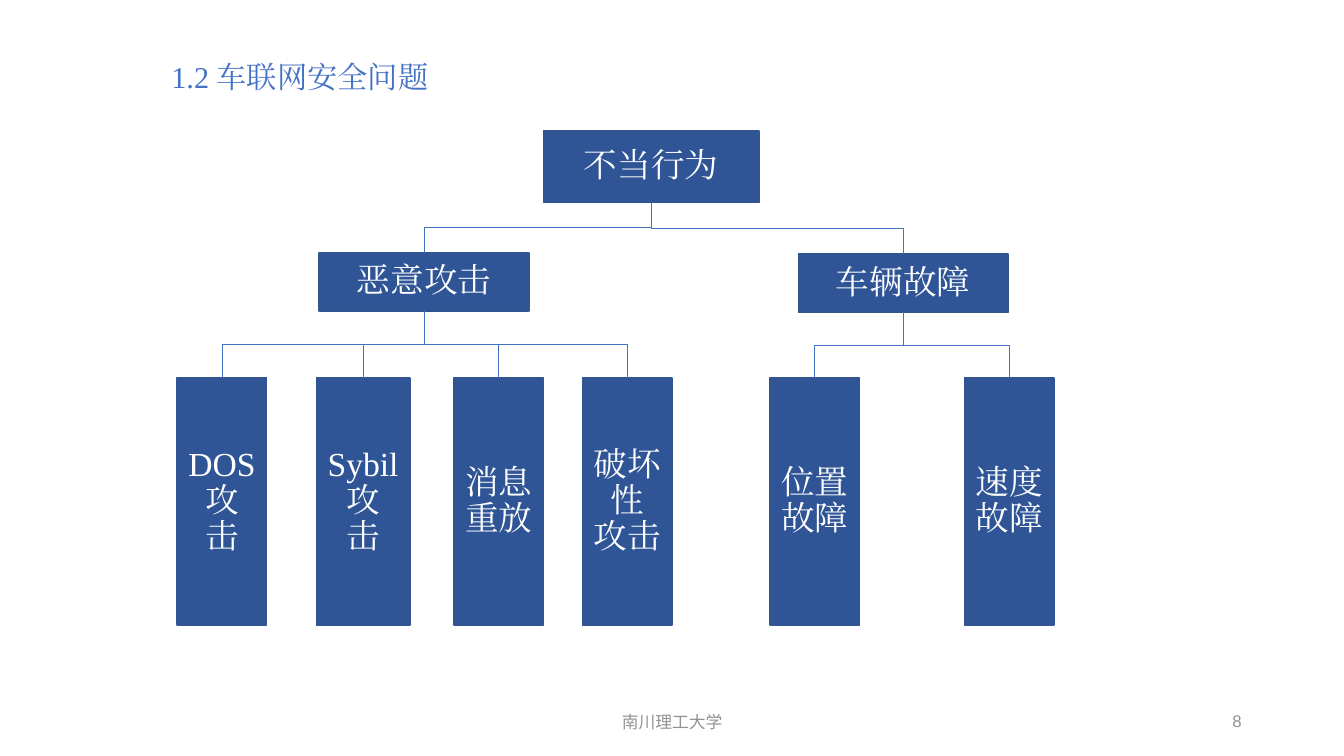
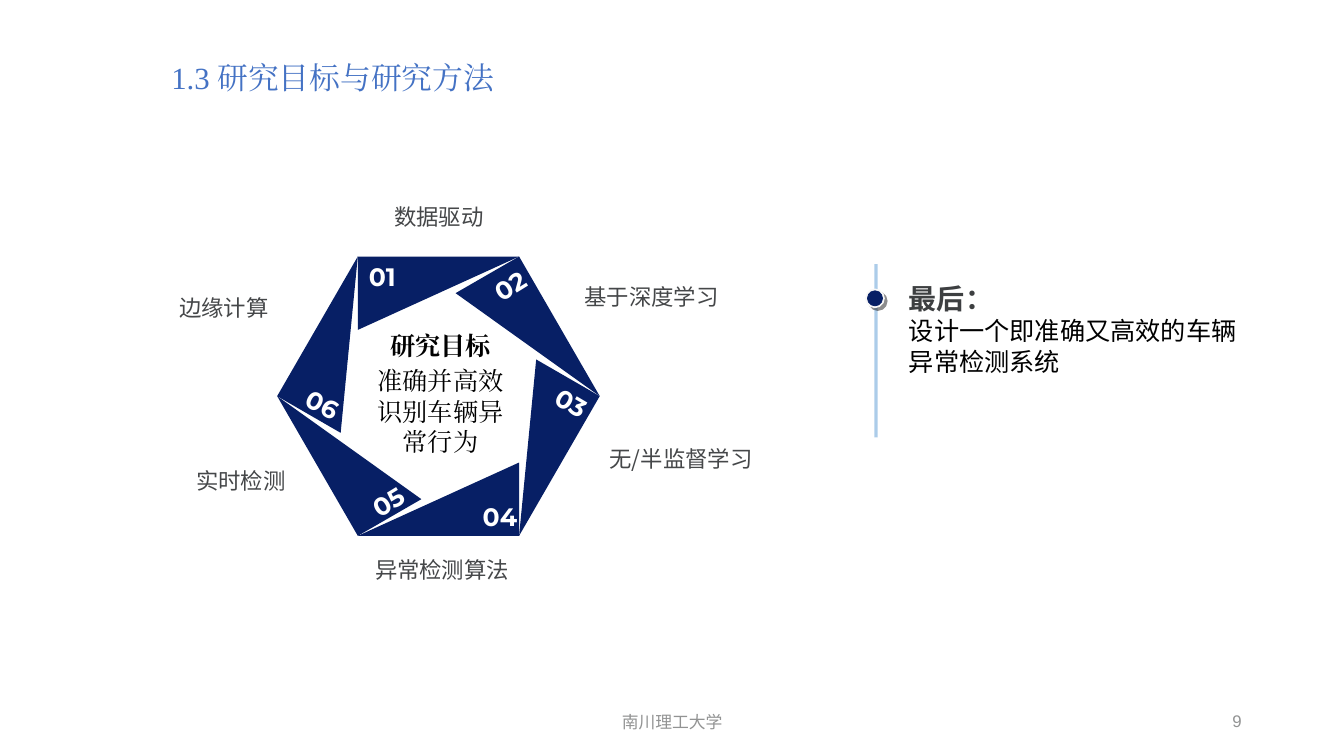
from copy import deepcopy
from math import cos, radians, sin

from lxml.etree import SubElement
from pptx import Presentation
from pptx.dml.color import RGBColor
from pptx.enum.shapes import MSO_CONNECTOR as CONNECTOR, MSO_SHAPE as SHAPE
from pptx.enum.text import MSO_ANCHOR as ANCHOR, PP_ALIGN as ALIGN
from pptx.oxml.ns import qn
from pptx.util import Pt

# Shared look
TITLE_BLUE, BOX_BLUE, BOX_LINE = "4472C4", "2F5597", "325491"
NAVY, WHITE, BLACK = "071F65", "FFFFFF", "000000"
LABEL_GREY, FOOTER_GREY = "454749", "929393"
SERIF, SANS, CHINESE, NUMERAL = "Times New Roman", "Arial", "Noto Sans CJK SC", "Montserrat"
FOOTER_TEXT = "南川理工大学"
FOOTER_INDEX, NUMBER_INDEX = 11, 12

# Misbehaviour tree: centre, top, width, height
ROOT = ("不当行为", 465.1, 93.6, 154, 51.1)
BRANCHES = [
    (("恶意攻击", 302.9, 180.7, 149.8, 41.5),
     [("DOS\n攻\n击", 158.6, 64), ("Sybil攻\n击", 259.4, 67),
      ("消息重放", 356.2, 64), ("破坏性\n攻击", 448, 64)]),
    (("车辆故障", 645.1, 181.4, 149.8, 41.8),
     [("位置故障", 582, 64), ("速度故障", 721, 64)]),
]
LEAF_TOP, LEAF_HEIGHT = 270, 176.6

# Hexagon of research methods
HEXAGON_CENTRE, HEXAGON_RADIUS, BLADE_DEPTH = (313.2, 283), 115.2, 52.4
NUMERALS = [  # centre x, centre y, turn
    (273, 197.6, 0), (364.3, 204.1, -31.7), (408.2, 287.6, 30.6),
    (357.1, 369, 0), (277.2, 358.2, -31.3), (230.4, 289.1, 27.4),
]
METHODS = [  # text, left, top, width, alignment
    ("数据驱动", 244, 141.1, 139, ALIGN.CENTER),
    ("基于深度学习", 410.4, 198.7, 128, ALIGN.LEFT),
    ("无/半监督学习", 428.4, 313.9, 141, ALIGN.LEFT),
    ("异常检测算法", 258.5, 393.8, 114.5, ALIGN.CENTER),
    ("边缘计算", 121, 206.6, 92, ALIGN.LEFT),
    ("实时检测", 133.2, 329.8, 86.4, ALIGN.LEFT),
]


def color(value):
    return RGBColor.from_string(value)


def place(shape, left, top, width, height):
    shape.left, shape.top = Pt(left), Pt(top)
    shape.width, shape.height = Pt(width), Pt(height)


def add_run(paragraph, text, face, size, ink, bold=False):
    run = paragraph.add_run()
    run.text = text
    font = run.font
    font.name, font.size, font.bold = face, Pt(size), bold
    font.color.rgb = color(ink)
    east_asian = SubElement(run._r.get_or_add_rPr(), qn("a:ea"))
    east_asian.set("typeface", face)


def write(shape, lines, alignment=ALIGN.LEFT, spacing=None, before=None):
    """Each line holds text, face, size, ink and, optionally, bold."""
    frame = shape.text_frame
    frame.clear()
    frame.word_wrap = True
    frame.vertical_anchor = ANCHOR.MIDDLE
    for index, line in enumerate(lines):
        paragraph = frame.add_paragraph() if index else frame.paragraphs[0]
        paragraph.alignment = alignment
        paragraph.line_spacing = spacing
        paragraph.space_before = before
        add_run(paragraph, *line)


def add_label(slide, box, lines, alignment=ALIGN.LEFT, **spacing):
    label = slide.shapes.add_textbox(*map(Pt, box))
    write(label, lines, alignment, **spacing)
    return label


def paint(shape, fill, line=None, weight=1):
    shape.shadow.inherit = False
    shape.fill.solid()
    shape.fill.fore_color.rgb = color(fill)
    if line:
        shape.line.color.rgb = color(line)
        shape.line.width = Pt(weight)
    else:
        shape.line.fill.background()


def style_connector(connector, ink, weight):
    connector.line.color.rgb = color(ink)
    connector.line.width = Pt(weight)
    SubElement(connector.element.spPr, qn("a:effectLst"))


def add_page(presentation, title, size, width, number):
    layout = presentation.slide_layouts[5]
    slide = presentation.slides.add_slide(layout)
    for placeholder in layout.placeholders:
        if placeholder.placeholder_format.idx in (FOOTER_INDEX, NUMBER_INDEX):
            slide.shapes.element.append(deepcopy(placeholder.element))
    heading = slide.shapes.title
    place(heading, 115.2, 38.2, width, 36.7)
    write(heading, [(title, SERIF, size, TITLE_BLUE)], spacing=0.9)
    footer, page = slide.placeholders[FOOTER_INDEX], slide.placeholders[NUMBER_INDEX]
    place(footer, 318.2, 501.1, 324, 28.8)
    write(footer, [(FOOTER_TEXT, SANS, 12, FOOTER_GREY)], ALIGN.CENTER)
    place(page, 678.2, 500.4, 216, 28.8)
    write(page, [(str(number), SANS, 12, FOOTER_GREY)], ALIGN.RIGHT)
    return slide


# Tree parts
def add_tree_box(slide, text, centre, top, width, height):
    box = slide.shapes.add_shape(
        SHAPE.RECTANGLE, Pt(centre - width / 2), Pt(top), Pt(width), Pt(height))
    paint(box, BOX_BLUE, BOX_LINE)
    write(box, [(line, SERIF, 24, WHITE) for line in text.split("\n")],
          ALIGN.CENTER, spacing=0.9)
    return box


def add_tree_link(slide, parent, child):
    """Elbow that leaves the parent downwards: a quarter-turned connector."""
    start_x, start_y = parent.left + parent.width // 2, parent.top + parent.height
    end_x, end_y = child.left + child.width // 2, child.top
    link = slide.shapes.add_connector(CONNECTOR.ELBOW, start_x, start_y, end_x, end_y)
    link.begin_connect(parent, 2)
    link.end_connect(child, 0)
    drop, reach = end_y - start_y, abs(end_x - start_x)
    link.left, link.top = (start_x + end_x - drop) // 2, (start_y + end_y - reach) // 2
    link.width, link.height = drop, reach
    to_right = end_x > start_x
    transform = link.element.spPr.find(qn("a:xfrm"))
    transform.set("rot", str((270 if to_right else 90) * 60000))
    transform.set("flipH", "1" if to_right else "0")
    style_connector(link, TITLE_BLUE, 0.5)


def build_tree(slide):
    root = add_tree_box(slide, *ROOT)
    for branch, leaves in BRANCHES:
        branch_box = add_tree_box(slide, *branch)
        add_tree_link(slide, root, branch_box)
        for text, centre, width in leaves:
            leaf = add_tree_box(slide, text, centre, LEAF_TOP, width, LEAF_HEIGHT)
            add_tree_link(slide, branch_box, leaf)


# Hexagon parts
def polar(origin, distance, angle):
    x, y = origin
    return x + distance * cos(radians(angle)), y + distance * sin(radians(angle))


def add_blade(slide, index):
    angle = 60 * index - 120
    corner = polar(HEXAGON_CENTRE, HEXAGON_RADIUS, angle)
    following = polar(HEXAGON_CENTRE, HEXAGON_RADIUS, angle + 60)
    inner = polar(corner, BLADE_DEPTH, 60 * index + 90)
    points = [(Pt(x), Pt(y)) for x, y in (corner, following, inner)]
    builder = slide.shapes.build_freeform(*points[0])
    builder.add_line_segments(points[1:], close=True)
    paint(builder.convert_to_shape(), NAVY)


def add_numeral(slide, index):
    x, y, turn = NUMERALS[index]
    label = add_label(slide, (x - 17.3, y - 14.8, 34.6, 29.6),
                      [(f"{index + 1:02}", NUMERAL, 18, WHITE, True)], ALIGN.CENTER)
    frame = label.text_frame
    frame.margin_left = frame.margin_right = frame.margin_top = frame.margin_bottom = 0
    label.rotation = turn


def build_hexagon(slide):
    for index in range(6):
        add_blade(slide, index)
    for index in range(6):
        add_numeral(slide, index)
    add_label(slide, (254.9, 232.6, 119.5, 96.5),
              [("研究目标", SERIF, 18, BLACK, True),
               ("准确并高效识别车辆异常行为", SERIF, 18, BLACK)],
              ALIGN.CENTER, before=Pt(4))
    for text, left, top, width, alignment in METHODS:
        add_label(slide, (left, top, width, 26.6),
                  [(text, CHINESE, 16, LABEL_GREY)], alignment)


# Conclusion beside the hexagon
def add_dot(slide, left, top, size, fill, line, weight):
    dot = slide.shapes.add_shape(SHAPE.OVAL, Pt(left), Pt(top), Pt(size), Pt(size))
    paint(dot, fill, line, weight)
    return dot


def add_shadow(shape, ink, opacity, distance, angle):
    effects = shape.element.spPr.find(qn("a:effectLst"))
    shadow = SubElement(effects, qn("a:outerShdw"), dist=str(Pt(distance)),
                        dir=str(angle * 60000), algn="ctr", rotWithShape="0")
    tone = SubElement(shadow, qn("a:srgbClr"), val=ink)
    SubElement(tone, qn("a:alpha"), val=str(opacity * 1000))


def build_conclusion(slide):
    rule = slide.shapes.add_connector(
        CONNECTOR.STRAIGHT, Pt(625.7), Pt(188.6), Pt(625.7), Pt(312.5))
    style_connector(rule, "5B9BD5", 2.25)
    tone = next(rule.element.spPr.iter(qn("a:srgbClr")))
    SubElement(tone, qn("a:alpha"), val="50000")
    ring = add_dot(slide, 618.5, 206.6, 13, "F8F8F8", "F8F8F8", 1)
    add_shadow(ring, "1C1C1C", 50, 2.8, 45)
    add_dot(slide, 619.6, 207.7, 10.8, NAVY, NAVY, 0.5)
    add_label(slide, (642.2, 198.7, 257.8, 74.9),
              [("最后:".replace(":", "："), CHINESE, 20, "3D3F41", True),
               ("设计一个即准确又高效的车辆异常检测系统", CHINESE, 18, BLACK)],
              spacing=Pt(22))


def main():
    presentation = Presentation()
    presentation.slide_width, presentation.slide_height = Pt(960), Pt(540)
    build_tree(add_page(presentation, "1.2 车联网安全问题", 21.6, 205.2, 8))
    methods = add_page(presentation, "1.3 研究目标与研究方法", 22, 267.8, 9)
    build_hexagon(methods)
    build_conclusion(methods)
    presentation.save("out.pptx")


main()
